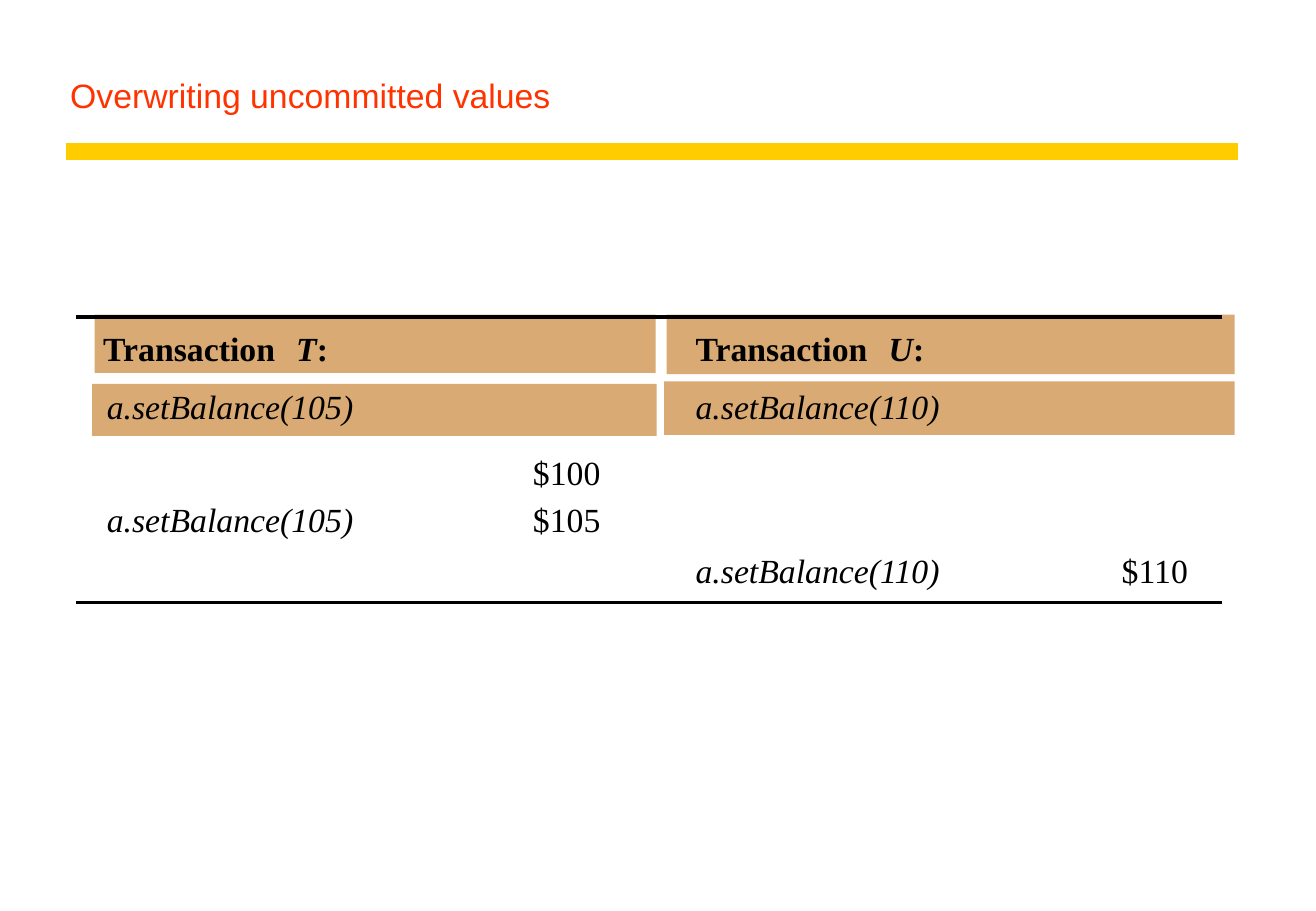
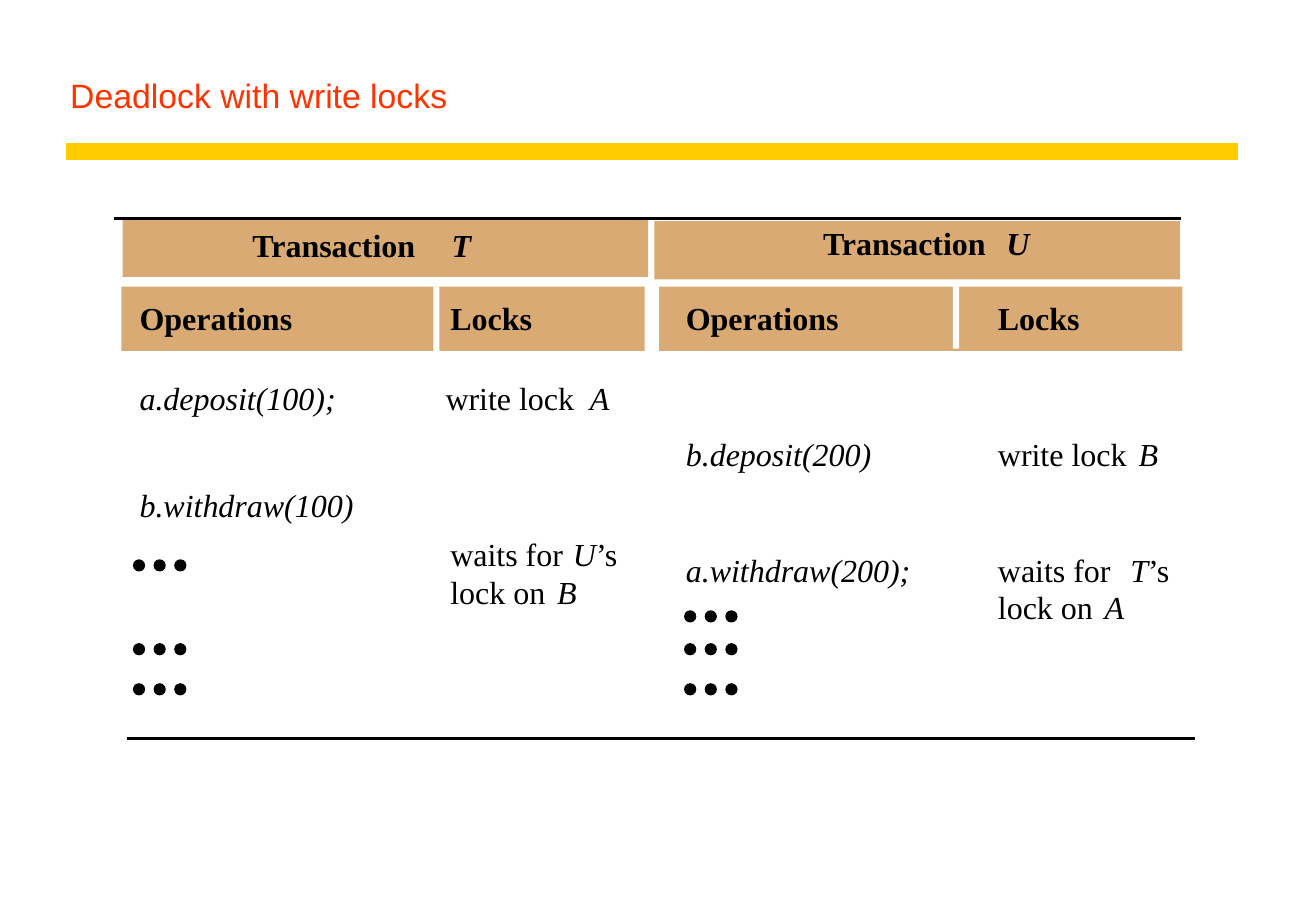
import dataclasses

import pptx
import pptx.dml.color
import pptx.enum.shapes
import pptx.enum.text
import pptx.oxml.ns
import pptx.util
from lxml import etree

Inches = pptx.util.Inches
Pt = pptx.util.Pt
RECTANGLE = pptx.enum.shapes.MSO_SHAPE.RECTANGLE
OVAL = pptx.enum.shapes.MSO_SHAPE.OVAL


@dataclasses.dataclass(frozen=True)
class Theme:
    title_color: str = "FF3300"
    stripe: str = "FFCC00"
    band: str = "D9AA73"
    ink: str = "000000"
    paper: str = "FFFFFF"
    title_font: str = "Arial"
    body_font: str = "Times New Roman"
    title_size: int = 20
    values_size: int = 20
    locks_size: int = 19
    stripe_width: int = 10
    rule_width: int = 2
    label_width: float = 2.1
    dot: float = 0.09
    dot_step: float = 0.17


@dataclasses.dataclass(frozen=True)
class Box:
    left: float
    top: float
    width: float
    height: float

    def inner(self, x, y, width, height):
        return Box(self.left + x, self.top + y, width, height)

    def inches(self):
        return [Inches(n) for n in (self.left, self.top, self.width, self.height)]


THEME = Theme()


def rgb(code):
    return pptx.dml.color.RGBColor.from_string(code)


def add_block(shapes, box, color, kind=RECTANGLE):
    block = shapes.add_shape(kind, *box.inches())
    block.shadow.inherit = False
    block.fill.solid()
    block.fill.fore_color.rgb = rgb(color)
    block.line.fill.background()
    return block


def add_rule(slide, left, top, width, color=THEME.ink, weight=THEME.rule_width):
    rule = slide.shapes.add_connector(
        pptx.enum.shapes.MSO_CONNECTOR.STRAIGHT,
        Inches(left), Inches(top), Inches(left + width), Inches(top))
    rule.line.color.rgb = rgb(color)
    rule.line.width = Pt(weight)
    etree.SubElement(rule._element.spPr, pptx.oxml.ns.qn("a:effectLst"))


def set_font(font, name, size, color):
    font.name = name
    font.size = Pt(size)
    font.color.rgb = rgb(color)


def add_label(slide, box, x, y, text, size, tab=None, bold=False):
    width = min(THEME.label_width, box.width - x)
    label = slide.shapes.add_textbox(*box.inner(x, y, width, 0.33).inches())
    frame = label.text_frame
    frame.word_wrap = True
    frame.margin_left = frame.margin_right = 0
    frame.margin_top = frame.margin_bottom = 0
    paragraph = frame.paragraphs[0]
    if tab:
        properties = paragraph._p.get_or_add_pPr()
        stops = etree.SubElement(properties, pptx.oxml.ns.qn("a:tabLst"))
        etree.SubElement(stops, pptx.oxml.ns.qn("a:tab"),
                         pos=str(Inches(tab)), algn="l")
    set_font(paragraph.font, THEME.body_font, size, THEME.ink)
    paragraph.font.bold = bold
    for index, piece in enumerate(text.split("*")):
        if piece:
            run = paragraph.add_run()
            run.text = piece
            if index % 2:
                run.font.italic = True


def add_dots(slide, box, x, y):
    dots = slide.shapes.add_group_shape()
    for index in range(3):
        spot = box.inner(x + index * THEME.dot_step, y, THEME.dot, THEME.dot)
        dot = add_block(dots.shapes, spot, THEME.ink, OVAL)
        dot.line.color.rgb = rgb(THEME.ink)
        dot.line.width = Pt(0.75)


def add_titled_slide(deck, title):
    slide = deck.slides.add_slide(deck.slide_layouts[6])
    add_rule(slide, 0.54, 1.25, 9.66, THEME.stripe, THEME.stripe_width)
    heading = slide.shapes.add_textbox(*Box(0.48, 0.25, 9.72, 0.75).inches())
    frame = heading.text_frame
    frame.word_wrap = True
    frame.vertical_anchor = pptx.enum.text.MSO_ANCHOR.BOTTOM
    paragraph = frame.paragraphs[0]
    paragraph.text = title
    set_font(paragraph.font, THEME.title_font, THEME.title_size, THEME.title_color)
    return slide


def add_bands(slide, box, bands):
    for band in bands:
        add_block(slide.shapes, box.inner(*band), THEME.band)


def add_overwriting(slide, box):
    add_bands(slide, box, [
        (0.15, -0.02, 4.62, 0.48), (4.86, -0.02, 4.68, 0.49),
        (0.13, 0.55, 4.65, 0.43), (4.84, 0.53, 4.7, 0.44)])
    for x, name in ((0.22, "T"), (5.1, "U")):
        add_label(slide, box, x, 0.09, f"Transaction\t*{name}*:",
                  THEME.values_size, 1.59, bold=True)
    t_call, t_value, u_call, u_value = 0.25, 3.76, 5.1, 8.61
    for x, y, text in (
            (t_call, 0.57, "*a.setBalance(105)*"),
            (u_call, 0.57, "*a.setBalance(110)*"),
            (t_value, 1.11, "$100"),
            (t_call, 1.5, "*a.setBalance(105)*"),
            (t_value, 1.5, "$105"),
            (u_call, 1.92, "*a.setBalance(110)*"),
            (u_value, 1.92, "$110")):
        add_label(slide, box, x, y, text, THEME.values_size)
    for y in (0, box.height):
        add_rule(slide, box.left, box.top + y, box.width)


def add_deadlock(slide, box):
    add_bands(slide, box, [
        (0.07, 0, 4.33, 0.48), (4.45, 0.02, 4.33, 0.48),
        (0.06, 0.56, 4.31, 0.53), (4.49, 0.56, 4.31, 0.53)])
    for x, y in ((2.63, 0.56), (6.91, 0.54)):
        add_block(slide.shapes, box.inner(x, y, 0.05, 0.53), THEME.paper)
    t_call, t_lock, u_call, u_lock = 0.21, 2.77, 4.71, 7.28
    for x, y, text, tab in (
            (1.14, 0.06, "Transaction\t*T*", 1.64),
            (5.84, 0.04, "Transaction\t*U*", 1.51),
            (t_call, 0.66, "Operations", None),
            (t_lock, 0.66, "Locks", None),
            (u_call, 0.66, "Operations", None),
            (u_lock, 0.66, "Locks", None)):
        add_label(slide, box, x, y, text, THEME.locks_size, tab, bold=True)
    for x, y, text, tab in (
            (t_call, 1.32, "*a.deposit(100);*", None),
            (t_lock - 0.04, 1.32, "write lock\t*A*", 1.19),
            (u_call, 1.78, "*b.deposit(200)*", None),
            (u_lock, 1.78, "write lock\t*B*", 1.16),
            (t_call, 2.2, "*b.withdraw(100)*", None),
            (t_lock, 2.6, "waits for\t*U*’s", 1.01),
            (t_lock, 2.91, "lock on\t*B*", 0.88),
            (u_call, 2.73, "*a.withdraw(200);*", None),
            (u_lock, 2.73, "waits for\t*T*’s", 1.09),
            (u_lock, 3.04, "lock on\t*A*", 0.88)):
        add_label(slide, box, x, y, text, THEME.locks_size, tab)
    for x, first in ((0.16, 2.81), (4.7, 3.23)):
        for y in (first, 3.5, 3.83):
            add_dots(slide, box, x, y)
    add_rule(slide, box.left, box.top, box.width)
    add_rule(slide, box.left + 0.11, box.top + box.height, box.width)


def main():
    deck = pptx.Presentation()
    deck.slide_width = Inches(10.84)
    deck.slide_height = Inches(7.5)
    add_overwriting(add_titled_slide(deck, "Overwriting uncommitted values"),
                    Box(0.63, 2.61, 9.44, 2.35))
    add_deadlock(add_titled_slide(deck, "Deadlock with write locks"),
                 Box(0.94, 1.8, 8.79, 4.28))
    deck.save("out.pptx")


if __name__ == "__main__":
    main()
